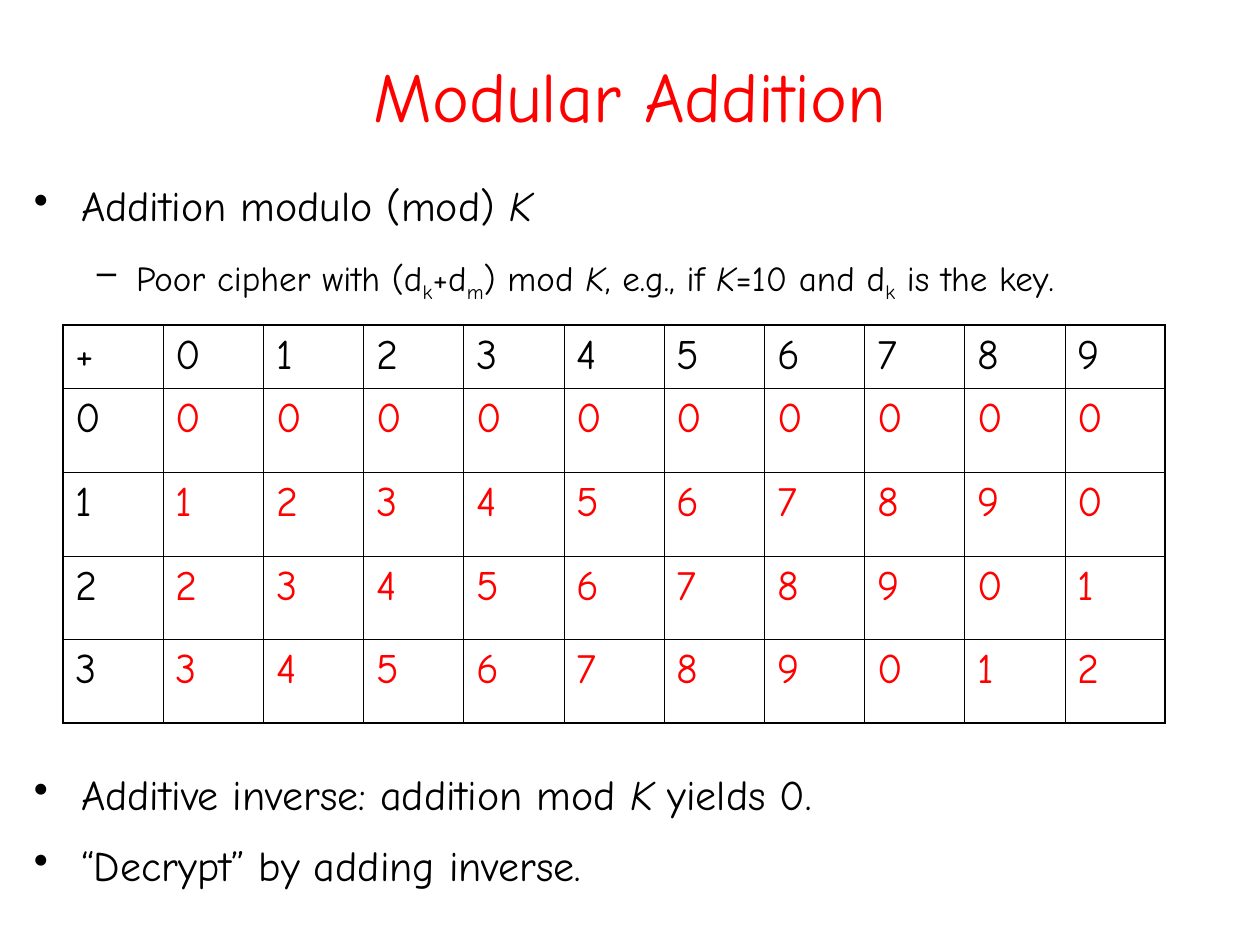
import dataclasses
import typing

import lxml.etree
import pptx
import pptx.dml.color
import pptx.enum.text
import pptx.oxml.ns
import pptx.util

Pt = pptx.util.Pt


@dataclasses.dataclass(frozen=True)
class Theme:
    font: str = "Comic Neue"
    ink: str = "000000"
    accent: str = "FF0000"
    title_size: float = 40
    text_size: float = 24
    detail_size: float = 20
    grid_line: float = 0.45
    frame_line: float = 1.08


class Box(typing.NamedTuple):
    left: float
    top: float
    width: float
    height: float


class Piece(typing.NamedTuple):
    text: str
    italic: bool = False
    subscript: bool = False


@dataclasses.dataclass(frozen=True)
class Bullet:
    pieces: tuple[Piece, ...]
    level: int = 0
    space_before: float = 12


class BulletStyle(typing.NamedTuple):
    symbol: str
    size: float
    margin: float
    hanging: float


THEME = Theme()
TITLE_BOX = Box(36, 18, 648, 72)
BODY_BOX = Box(12.24, 102.24, 707.76, 419.76)
TABLE_BOX = Box(36, 185.8, 630, 227.5)
HEADER_HEIGHT = 36.3
MODULUS = 10
ADDENDS = 4
MODULUS_NAME = Piece("K", italic=True)
KEY_INDEX = Piece("k", subscript=True)

BULLET_STYLES = (
    BulletStyle("•", THEME.text_size, 27, 27),
    BulletStyle("–", THEME.detail_size, 58.5, 22.5),
)
BULLETS = (
    Bullet((Piece("Addition modulo (mod) "), MODULUS_NAME), space_before=0),
    Bullet(
        (
            Piece("Poor cipher with (d"), KEY_INDEX, Piece("+d"),
            Piece("m", subscript=True), Piece(") mod "), MODULUS_NAME,
            Piece(", e.g., if "), MODULUS_NAME, Piece("=10 and d"),
            KEY_INDEX, Piece(" is the key."),
        ),
        level=1,
    ),
    Bullet(
        (Piece("Additive inverse: addition mod "), MODULUS_NAME, Piece(" yields 0.")),
        space_before=268,
    ),
    Bullet((Piece("“Decrypt” by adding inverse."),)),
)


def apply_format(target: typing.Any, values: dict[str, typing.Any]) -> None:
    for name, value in values.items():
        setattr(target, name, value)


def add_element(parent: typing.Any, tag: str, **attributes: str) -> typing.Any:
    return lxml.etree.SubElement(parent, pptx.oxml.ns.qn(tag), attributes)


def add_piece(paragraph: typing.Any, piece: Piece, size: float, color: str) -> None:
    run = paragraph.add_run()
    run.text = piece.text
    apply_format(run.font, {"name": THEME.font, "size": Pt(size), "italic": piece.italic})
    run.font.color.rgb = pptx.dml.color.RGBColor.from_string(color)
    if piece.subscript:
        run.font._element.set("baseline", "-25000")


def add_text_frame(slide: typing.Any, box: Box, anchor: typing.Any) -> typing.Any:
    shape = slide.shapes.add_textbox(*map(Pt, box))
    apply_format(shape.text_frame, {"word_wrap": True, "vertical_anchor": anchor})
    return shape.text_frame


def draw_title(slide: typing.Any) -> None:
    frame = add_text_frame(slide, TITLE_BOX, pptx.enum.text.MSO_ANCHOR.MIDDLE)
    paragraph = frame.paragraphs[0]
    apply_format(
        paragraph,
        {"alignment": pptx.enum.text.PP_ALIGN.CENTER, "space_after": Pt(3)},
    )
    add_piece(paragraph, Piece("Modular Addition"), THEME.title_size, THEME.accent)


def draw_bullets(slide: typing.Any) -> None:
    frame = add_text_frame(slide, BODY_BOX, pptx.enum.text.MSO_ANCHOR.TOP)
    for index, bullet in enumerate(BULLETS):
        style = BULLET_STYLES[bullet.level]
        paragraph = frame.add_paragraph() if index else frame.paragraphs[0]
        apply_format(
            paragraph,
            {
                "level": bullet.level,
                "line_spacing": 0.9,
                "space_before": Pt(bullet.space_before),
                "space_after": Pt(3),
            },
        )
        properties = paragraph._p.get_or_add_pPr()
        properties.set("marL", str(Pt(style.margin)))
        properties.set("indent", str(-Pt(style.hanging)))
        bullet_color = add_element(properties, "a:buClr")
        add_element(bullet_color, "a:srgbClr", val=THEME.ink)
        add_element(properties, "a:buChar", char=style.symbol)
        for piece in bullet.pieces:
            add_piece(paragraph, piece, style.size, THEME.ink)


def set_borders(cell: typing.Any, framed_sides: dict[str, bool]) -> None:
    properties = cell._tc.get_or_add_tcPr()
    for position, (side, framed) in enumerate(framed_sides.items()):
        width = THEME.frame_line if framed else THEME.grid_line
        line = add_element(properties, f"a:ln{side}", w=str(Pt(width)))
        fill = add_element(line, "a:solidFill")
        add_element(fill, "a:srgbClr", val=THEME.ink)
        properties.insert(position, line)


def addition_rows() -> list[list[str]]:
    digits = range(MODULUS)
    rows = [["+", *map(str, digits)], ["0"] * (MODULUS + 1)]
    for addend in range(1, ADDENDS):
        sums = [(addend + digit) % MODULUS for digit in digits]
        rows.append([str(addend), *map(str, sums)])
    return rows


def draw_table(slide: typing.Any) -> None:
    rows = addition_rows()
    last_row, last_column = len(rows) - 1, len(rows[0]) - 1
    table = slide.shapes.add_table(len(rows), len(rows[0]), *map(Pt, TABLE_BOX)).table
    apply_format(table, {"first_row": False, "horz_banding": False})
    for column in table.columns:
        column.width = Pt(TABLE_BOX.width / len(rows[0]))
    for row_index, values in enumerate(rows):
        sum_height = (TABLE_BOX.height - HEADER_HEIGHT) / last_row
        table.rows[row_index].height = Pt(sum_height if row_index else HEADER_HEIGHT)
        for column_index, value in enumerate(values):
            cell = table.cell(row_index, column_index)
            cell.fill.background()
            set_borders(
                cell,
                {
                    "L": column_index == 0,
                    "R": column_index == last_column,
                    "T": row_index == 0,
                    "B": row_index == last_row,
                },
            )
            paragraph = cell.text_frame.paragraphs[0]
            paragraph.space_after = Pt(3)
            color = THEME.accent if row_index and column_index else THEME.ink
            add_piece(paragraph, Piece(value), THEME.text_size, color)


def main() -> None:
    presentation = pptx.Presentation()
    apply_format(presentation, {"slide_width": Pt(720), "slide_height": Pt(540)})
    slide = presentation.slides.add_slide(presentation.slide_layouts[6])
    draw_title(slide)
    draw_bullets(slide)
    draw_table(slide)
    presentation.save("out.pptx")


if __name__ == "__main__":
    main()
